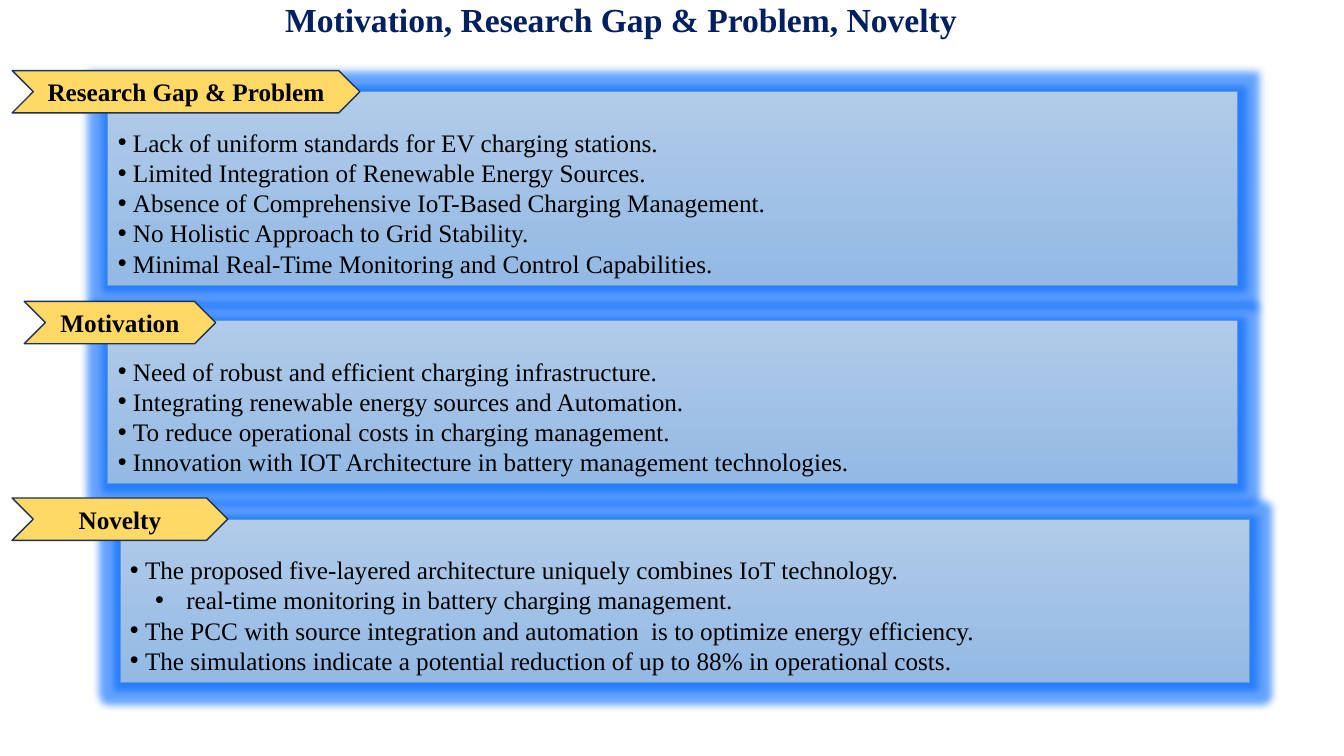
from dataclasses import dataclass

from lxml.etree import SubElement
from pptx import Presentation
from pptx.dml.color import RGBColor as RGB
from pptx.enum.shapes import MSO_SHAPE as SHAPE
from pptx.enum.text import MSO_ANCHOR as ANCHOR, PP_ALIGN as ALIGN
from pptx.oxml.ns import qn
from pptx.util import Inches, Pt


@dataclass(frozen=True)
class Theme:
    """Colours, fonts and sizes of the slide."""
    font: str = "Times New Roman"
    title: str = "002060"
    text: str = "000000"
    panel: tuple = ("B1CBE9", "93B9E4")
    panel_line: str = "5B9BD5"
    glow: str = "0066FF"
    tag: str = "FFD966"
    tag_line: str = "1E3256"
    title_size: int = 24
    body_size: int = 18


class SlideBuilder:
    """Draws themed elements on one slide."""

    def __init__(self, slide, theme):
        """Keep the slide and the theme."""
        self.s, self.t = slide, theme

    def style(self, font, size, color, bold=False):
        """Apply the theme font with the given format."""
        for name, value in {"name": self.t.font, "size": Pt(size), "bold": bold}.items():
            setattr(font, name, value)
        font.color.rgb = RGB.from_string(color)

    def shape(self, kind, box, line, width):
        """Add an outlined preset shape without a shadow."""
        sp = self.s.shapes.add_shape(kind, *map(Inches, box))
        sp.shadow.inherit = False
        sp.line.color.rgb = RGB.from_string(line)
        sp.line.width = Pt(width)
        return sp

    def title(self, text, box):
        """Add the slide title."""
        tf = self.s.shapes.add_textbox(*map(Inches, box)).text_frame
        tf.word_wrap = True
        r = tf.paragraphs[0].add_run()
        r.text = text
        self.style(r.font, self.t.title_size, self.t.title, True)

    def glow(self, sp, radius, alpha):
        """Give a shape a soft coloured glow."""
        effects = sp._element.spPr.find(qn("a:effectLst"))
        glow = SubElement(effects, qn("a:glow"), rad=str(Inches(radius)))
        color = SubElement(glow, qn("a:srgbClr"), val=self.t.glow)
        SubElement(color, qn("a:alpha"), val=str(alpha * 1000))

    def bullet(self, p, text, level):
        """Fill a paragraph with one bulleted line."""
        margin, hang = ((0.15, 0.15), (0.56, 0.31))[level]
        p.level, p.alignment = level, ALIGN.LEFT
        pPr = p._p.get_or_add_pPr()
        for name, value in {"marL": margin, "indent": -hang}.items():
            pPr.set(name, str(Inches(value)))
        SubElement(pPr, qn("a:buFont"), typeface="Arial")
        SubElement(pPr, qn("a:buChar"), char="•")
        r = p.add_run()
        r.text = text
        self.style(r.font, self.t.body_size, self.t.text)

    def panel(self, box, items):
        """Add a glowing gradient panel with bullets."""
        sp = self.shape(SHAPE.RECTANGLE, box, self.t.panel_line, 0.5)
        sp.fill.gradient()
        sp.fill.gradient_angle = 270
        for stop, color in zip(sp.fill.gradient_stops, self.t.panel):
            stop.color.rgb = RGB.from_string(color)
        self.glow(sp, 0.15, 60)
        tf = sp.text_frame
        for name, value in {"word_wrap": True, "vertical_anchor": ANCHOR.TOP,
                            "margin_top": Inches(0.35)}.items():
            setattr(tf, name, value)
        for i, (level, text) in enumerate(items):
            p = tf.add_paragraph() if i else tf.paragraphs[0]
            self.bullet(p, text, level)

    def tag(self, text, box):
        """Add a chevron heading."""
        sp = self.shape(SHAPE.CHEVRON, box, self.t.tag_line, 1)
        sp.fill.solid()
        sp.fill.fore_color.rgb = RGB.from_string(self.t.tag)
        tf = sp.text_frame
        for name, value in {"word_wrap": True, "vertical_anchor": ANCHOR.MIDDLE}.items():
            setattr(tf, name, value)
        p = tf.paragraphs[0]
        p.alignment = ALIGN.CENTER
        r = p.add_run()
        r.text = text
        self.style(r.font, self.t.body_size, self.t.text, True)


SECTIONS = [
    ("Research Gap & Problem", (0.12, 0.7, 3.45, 0.42), (1.07, 0.91, 11.2, 1.92), [
        (0, "Lack of uniform standards for EV charging stations."),
        (0, "Limited Integration of Renewable Energy Sources."),
        (0, "Absence of Comprehensive IoT-Based Charging Management."),
        (0, "No Holistic Approach to Grid Stability."),
        (0, "Minimal Real-Time Monitoring and Control Capabilities."),
    ]),
    ("Motivation", (0.24, 2.99, 1.9, 0.42), (1.07, 3.18, 11.2, 1.62), [
        (0, "Need of robust and efficient charging infrastructure."),
        (0, "Integrating renewable energy sources and Automation."),
        (0, "To reduce operational costs in charging management."),
        (0, "Innovation with IOT Architecture in battery management technologies."),
    ]),
    ("Novelty", (0.12, 4.94, 2.14, 0.42), (1.19, 5.15, 11.2, 1.62), [
        (0, "The proposed five-layered architecture uniquely combines IoT technology."),
        (1, "real-time monitoring in battery charging management."),
        (0, "The PCC with source integration and automation  is to optimize energy efficiency."),
        (0, "The simulations indicate a potential reduction of up to 88% in operational costs."),
    ]),
]


def main():
    """Build and save the slide."""
    prs = Presentation()
    prs.slide_width, prs.slide_height = Inches(13.33), Inches(7.5)
    builder = SlideBuilder(prs.slides.add_slide(prs.slide_layouts[6]), Theme())
    builder.title("Motivation, Research Gap & Problem, Novelty", (2.73, -0.06, 6.93, 0.5))
    for heading, tag_box, panel_box, items in SECTIONS:
        builder.panel(panel_box, items)
        builder.tag(heading, tag_box)
    prs.save("out.pptx")


if __name__ == "__main__":
    main()
